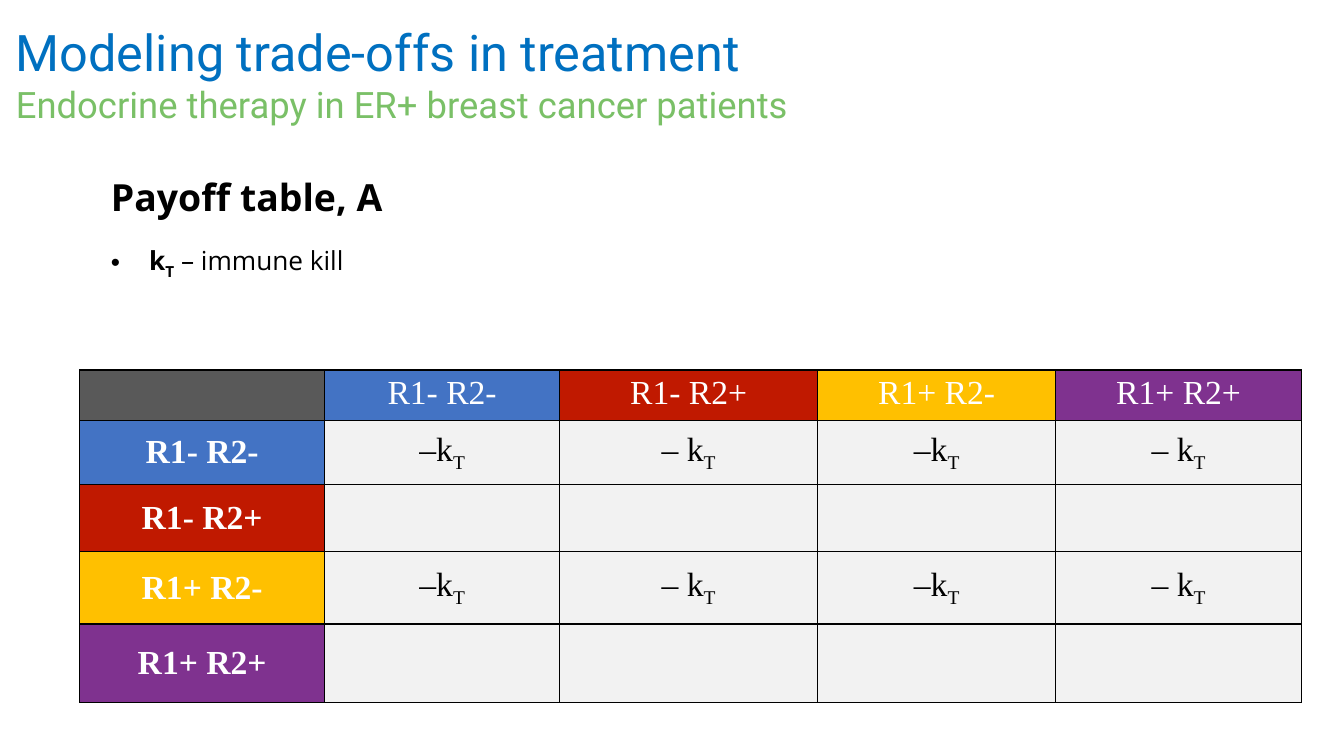
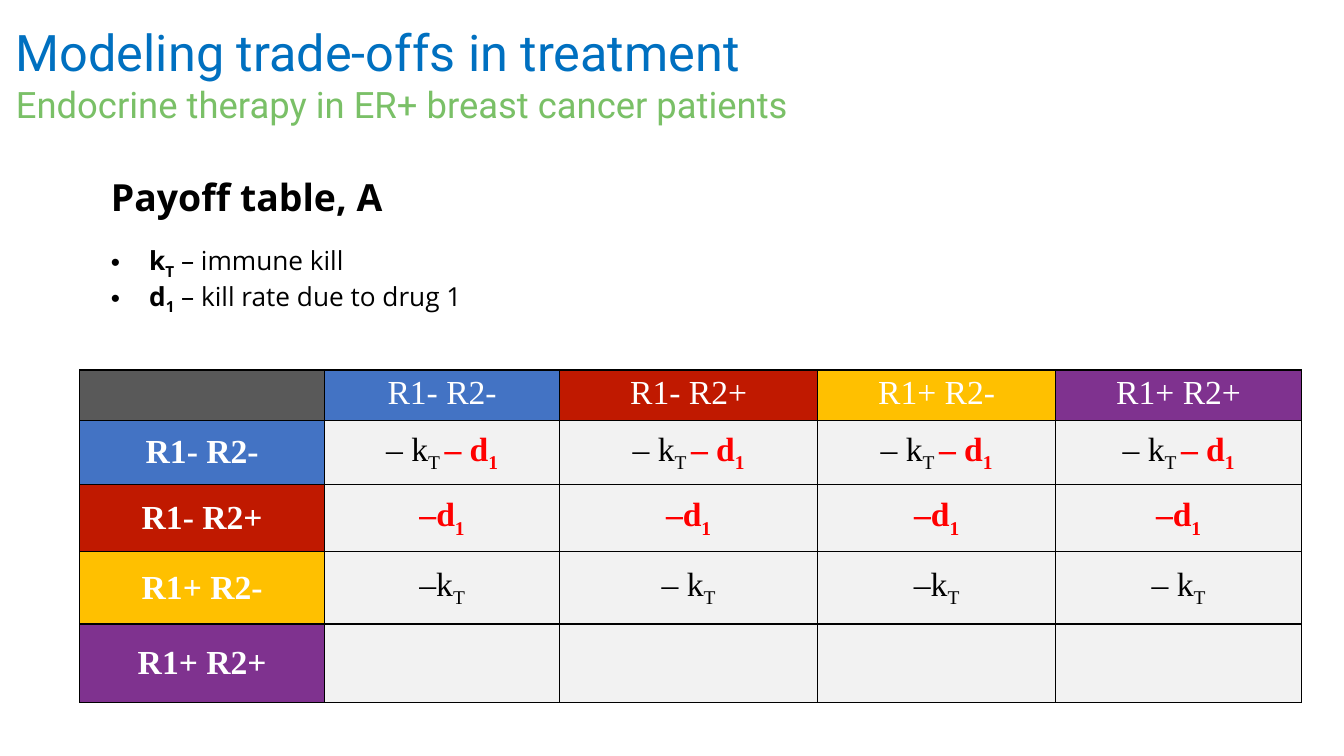
from dataclasses import dataclass

from lxml.etree import SubElement
from pptx import Presentation
from pptx.dml.color import RGBColor
from pptx.enum.text import MSO_ANCHOR, PP_ALIGN
from pptx.oxml.ns import qn
from pptx.slide import Slide
from pptx.table import _Cell as Cell
from pptx.text.text import TextFrame, _Paragraph as Paragraph
from pptx.util import Inches, Pt

BLACK = RGBColor(0x00, 0x00, 0x00)
WHITE = RGBColor(0xFF, 0xFF, 0xFF)
RED = RGBColor(0xFF, 0x00, 0x00)
TITLE_BLUE = RGBColor(0x00, 0x70, 0xC0)
SUBTITLE_GREEN = RGBColor(0x7A, 0xC0, 0x67)
CORNER_GRAY = RGBColor(0x59, 0x59, 0x59)
CELL_GRAY = RGBColor(0xF2, 0xF2, 0xF2)

TITLE_FORMAT = {"name": "Roboto", "size": Pt(36)}
SUBTITLE_FORMAT = {"name": "Roboto", "size": Pt(26)}
HEADING_FORMAT = {"name": "Open Sans", "size": Pt(26.7)}
BULLET_FORMAT = {"name": "Open Sans", "size": Pt(18.7)}
TABLE_FORMAT = {"name": "Times New Roman", "size": Pt(24)}

COLUMN_WIDTHS = (2.43, 2.33, 2.56, 2.36, 2.44)
ROW_HEIGHTS = (0.47, 0.64, 0.66, 0.72, 0.78)


@dataclass(frozen=True)
class Span:
    text: str
    color: RGBColor = BLACK
    bold: bool = False
    subscript: bool = False


@dataclass(frozen=True)
class Phenotype:
    name: str
    color: RGBColor


@dataclass(frozen=True)
class Definition:
    symbol: str
    index: str
    meaning: str


Spans = tuple[Span, ...]


@dataclass(frozen=True)
class PayoffPage:
    definitions: tuple[Definition, ...]
    payoffs: tuple[tuple[Spans, ...], ...]


PHENOTYPES = (
    Phenotype("R1- R2-", RGBColor(0x43, 0x73, 0xC4)),
    Phenotype("R1- R2+", RGBColor(0xC0, 0x19, 0x00)),
    Phenotype("R1+ R2-", RGBColor(0xFF, 0xC0, 0x00)),
    Phenotype("R1+ R2+", RGBColor(0x7F, 0x32, 0x8F)),
)

IMMUNE = Definition("k", "T", " – immune kill")
DRUG = Definition("d", "1", " – kill rate due to drug 1")

KILL_TIGHT = (Span("–k"), Span("T", subscript=True))
KILL_SPACED = (Span("– k"), Span("T", subscript=True))
DRUG_INDEX = Span("1", RED, True, True)
DRUG_ONLY = (Span("–d", RED, True), DRUG_INDEX)
KILL_AND_DRUG = (
    Span("– k"), Span("T ", subscript=True), Span("– d", RED, True), DRUG_INDEX,
)

EMPTY_ROW: tuple[Spans, ...] = ((),) * 4
KILL_ROW = (KILL_TIGHT, KILL_SPACED) * 2

PAGES = (
    PayoffPage((IMMUNE,), (KILL_ROW, EMPTY_ROW, KILL_ROW, EMPTY_ROW)),
    PayoffPage(
        (IMMUNE, DRUG),
        ((KILL_AND_DRUG,) * 4, (DRUG_ONLY,) * 4, KILL_ROW, EMPTY_ROW),
    ),
)


def add_span(para: Paragraph, span: Span, format_values: dict) -> None:
    run = para.add_run()
    run.text = span.text
    for key, value in format_values.items():
        setattr(run.font, key, value)
    run.font.bold = span.bold
    run.font.color.rgb = span.color
    if span.subscript:
        run.font._element.set("baseline", "-25000")


def add_text_frame(page: Slide, left: float, top: float,
                   width: float, height: float) -> TextFrame:
    box = page.shapes.add_textbox(
        Inches(left), Inches(top), Inches(width), Inches(height))
    box.text_frame.word_wrap = True
    return box.text_frame


def add_title(page: Slide) -> None:
    frame = add_text_frame(page, 0.06, 0.03, 13.27, 1.4)
    frame.vertical_anchor = MSO_ANCHOR.MIDDLE
    para = frame.paragraphs[0]
    add_span(para, Span("Modeling trade-offs in treatment", TITLE_BLUE), TITLE_FORMAT)
    para.add_line_break()
    subtitle = Span("Endocrine therapy in ER+ breast cancer patients", SUBTITLE_GREEN)
    add_span(para, subtitle, SUBTITLE_FORMAT)


def add_bullet(para: Paragraph) -> None:
    properties = para._p.get_or_add_pPr()
    indent = Inches(0.38)
    properties.set("marL", str(indent))
    properties.set("indent", str(-indent))
    SubElement(properties, qn("a:buFont"), typeface="Arial")
    SubElement(properties, qn("a:buChar"), char="•")


def add_definitions(page: Slide, definitions: tuple[Definition, ...]) -> None:
    frame = add_text_frame(page, 1.06, 1.73, 10.44, 1.78)
    frame.margin_left = frame.margin_right = Inches(0.04)
    frame.margin_top = frame.margin_bottom = 0
    heading = frame.paragraphs[0]
    add_span(heading, Span("Payoff table, A", bold=True), HEADING_FORMAT)
    heading.space_after = Pt(18)
    for definition in definitions:
        para = frame.add_paragraph()
        add_bullet(para)
        for span in (
            Span(definition.symbol, bold=True),
            Span(definition.index, bold=True, subscript=True),
            Span(definition.meaning),
        ):
            add_span(para, span, BULLET_FORMAT)


def set_borders(cell: Cell) -> None:
    properties = cell._tc.get_or_add_tcPr()
    for position, side in enumerate(("lnL", "lnR", "lnT", "lnB")):
        line = SubElement(properties, qn(f"a:{side}"), w=str(Pt(1)))
        fill = SubElement(line, qn("a:solidFill"))
        SubElement(fill, qn("a:srgbClr"), val=str(BLACK))
        properties.insert(position, line)


def fill_cell(cell: Cell, color: RGBColor, spans: Spans = (),
              anchor: MSO_ANCHOR = MSO_ANCHOR.MIDDLE) -> None:
    cell.fill.solid()
    cell.fill.fore_color.rgb = color
    set_borders(cell)
    cell.vertical_anchor = anchor
    para = cell.text_frame.paragraphs[0]
    para.alignment = PP_ALIGN.CENTER
    for span in spans:
        add_span(para, span, TABLE_FORMAT)


def add_payoff_table(page: Slide, payoffs: tuple[tuple[Spans, ...], ...]) -> None:
    table = page.shapes.add_table(
        len(ROW_HEIGHTS), len(COLUMN_WIDTHS), Inches(0.79), Inches(3.67),
        Inches(sum(COLUMN_WIDTHS)), Inches(sum(ROW_HEIGHTS))).table
    table.first_row = table.horz_banding = False
    for column, width in zip(table.columns, COLUMN_WIDTHS):
        column.width = Inches(width)
    for row, height in zip(table.rows, ROW_HEIGHTS):
        row.height = Inches(height)
    fill_cell(table.cell(0, 0), CORNER_GRAY)
    for index, (phenotype, row_payoffs) in enumerate(zip(PHENOTYPES, payoffs), 1):
        fill_cell(table.cell(0, index), phenotype.color,
                  (Span(phenotype.name, WHITE),), MSO_ANCHOR.TOP)
        fill_cell(table.cell(index, 0), phenotype.color,
                  (Span(phenotype.name, WHITE, True),))
        for column, spans in enumerate(row_payoffs, 1):
            fill_cell(table.cell(index, column), CELL_GRAY, spans)


def main() -> None:
    deck = Presentation()
    deck.slide_width = Inches(13.33)
    deck.slide_height = Inches(7.5)
    for content in PAGES:
        page = deck.slides.add_slide(deck.slide_layouts[6])
        add_title(page)
        add_payoff_table(page, content.payoffs)
        add_definitions(page, content.definitions)
    deck.save("out.pptx")


if __name__ == "__main__":
    main()
